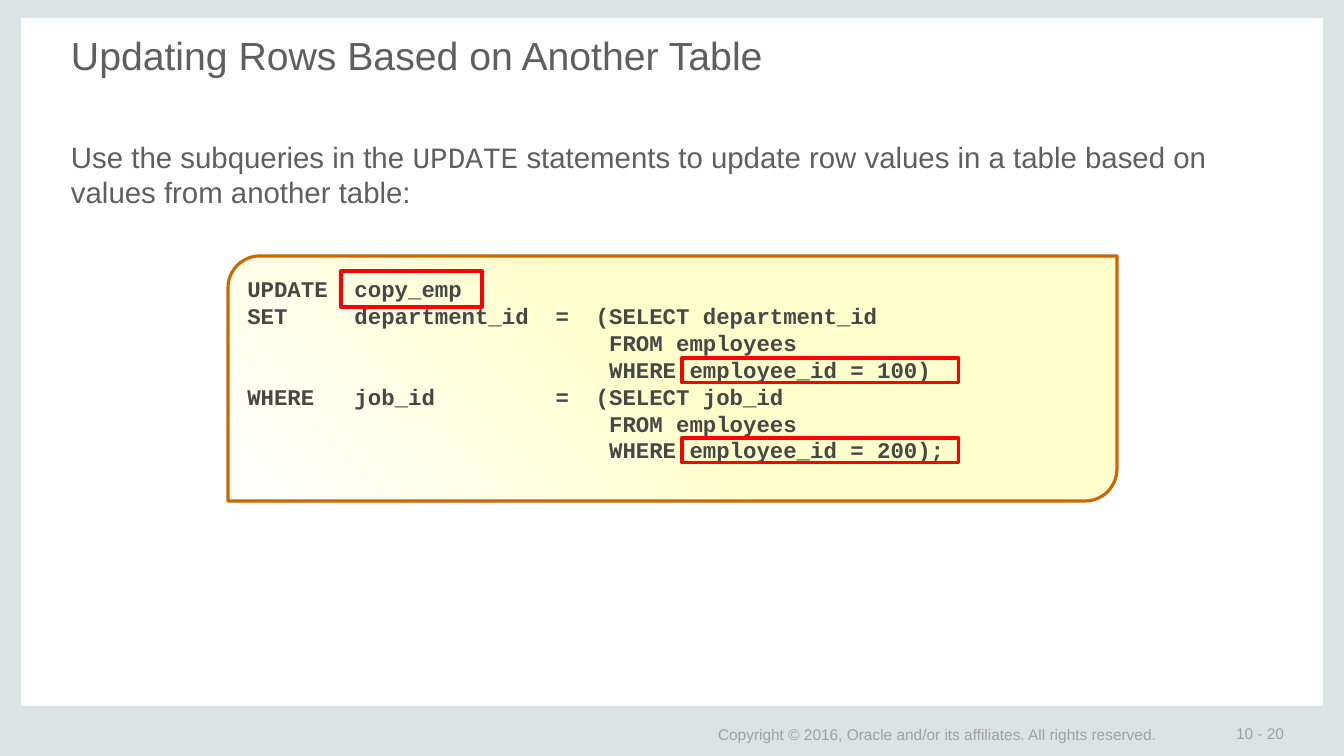
from copy import deepcopy
from dataclasses import dataclass

from pptx import Presentation
from pptx.dml.color import RGBColor
from pptx.enum.shapes import MSO_SHAPE
from pptx.enum.text import MSO_ANCHOR, PP_ALIGN
from pptx.util import Pt

RECT = MSO_SHAPE.RECTANGLE
CODE_PANEL = MSO_SHAPE.ROUND_2_DIAG_RECTANGLE
TOP, MIDDLE = MSO_ANCHOR.TOP, MSO_ANCHOR.MIDDLE
LEFT = PP_ALIGN.LEFT

# Content
TITLE = "Updating Rows Based on Another Table"
INTRO = [
    ("Use the subqueries in the ", False),
    ("UPDATE", True),
    (" statements to update row values in a table based on values from another table:", False),
]
CODE = [
    "UPDATE  copy_emp",
    "SET     department_id  =  (SELECT department_id",
    "                           FROM employees",
    "                           WHERE employee_id = 100)",
    "WHERE   job_id         =  (SELECT job_id",
    "                           FROM employees",
    "                           WHERE employee_id = 200);",
]
COPYRIGHT = "Copyright © 2016, Oracle and/or its affiliates. All rights reserved."
PAGE = "10 - 20"


@dataclass(frozen=True)
class Theme:
    sans: str = "Arial"
    mono: str = "Courier New"
    text: str = "5F5F5F"
    code: str = "474747"
    footer: str = "9F9F9F"
    frame: str = "DCE3E4"
    panel: str = "FFFFCC"
    panel_fade: str = "FFFFFF"
    panel_line: str = "CC6600"
    highlight: str = "FF0000"
    title_pt: int = 28
    intro_pt: int = 21
    code_pt: int = 16
    footer_pt: int = 11
    line_pt: float = 2.25


THEME = Theme()

# Layout in px
EMU_PER_PX = 914400 / 100.8
WIDTH, HEIGHT = 1344, 756
SIDE, HEAD, FOOT = 21, 18, 50
FRAME = [
    (WIDTH - SIDE, 0, SIDE, HEIGHT),
    (0, 0, SIDE, HEIGHT),
    (0, HEIGHT - FOOT, WIDTH, FOOT),
    (0, 0, WIDTH, HEAD),
]
TITLE_BOX = (69, 29, 1207, 97)
INTRO_BOX = (69, 137, 1207, 202)
PANEL_BOX = (228, 256, 889, 245)
FOOTERS = [(PAGE, (1223, 723, 119, 20)), (COPYRIGHT, (705, 723, 538, 22))]
TABLE_MARK = (341, 271, 141, 36)
SUBQUERY_HEIGHT = 80  # three lines of code
MARKS = [TABLE_MARK] + [(682, 358 + i * SUBQUERY_HEIGHT, 277, 25) for i in range(2)]


def px(value):
    return round(value * EMU_PER_PX)


def emu(box):
    return [px(value) for value in box]


def rgb(value):
    return RGBColor.from_string(value)


def set_frame(frame, margins, anchor=TOP):
    frame.word_wrap = True
    frame.vertical_anchor = anchor
    (frame.margin_left, frame.margin_top,
     frame.margin_right, frame.margin_bottom) = emu(margins)


def add_run(paragraph, text, size, color, font=THEME.sans, bold=False):
    paragraph.alignment = LEFT
    run = paragraph.add_run()
    run.text = text
    run.font.name = font
    run.font.size = Pt(size)
    run.font.bold = bold
    run.font.color.rgb = rgb(color)


def add_shape(kind, box, fill=None, line=None):
    shape = slide.shapes.add_shape(kind, *emu(box))
    shape.shadow.inherit = False
    if fill:
        shape.fill.solid()
        shape.fill.fore_color.rgb = rgb(fill)
    else:
        shape.fill.background()
    if line:
        shape.line.color.rgb = rgb(line)
        shape.line.width = Pt(THEME.line_pt)
    else:
        shape.line.fill.background()
    return shape


def fade(fill, stops, angle):
    fill.gradient()
    fill.gradient_angle = angle
    first = fill.gradient_stops[0]._gs
    first.addnext(deepcopy(first))
    for stop, (position, color) in zip(fill.gradient_stops, stops):
        stop.position = position
        stop.color.rgb = rgb(color)


prs = Presentation()
prs.slide_width, prs.slide_height = px(WIDTH), px(HEIGHT)
slide = prs.slides.add_slide(prs.slide_layouts[5])

# Frame and footer
for bar in FRAME:
    add_shape(RECT, bar, fill=THEME.frame)
for text, box in FOOTERS:
    footer = slide.shapes.add_textbox(*emu(box)).text_frame
    set_frame(footer, (13, 7, 13, 7), MIDDLE)
    add_run(footer.paragraphs[0], text, THEME.footer_pt, THEME.footer)

# Title
title = slide.shapes.title
title.left, title.top, title.width, title.height = emu(TITLE_BOX)
set_frame(title.text_frame, (2, 2, 2, 2))
add_run(title.text_frame.paragraphs[0], TITLE, THEME.title_pt, THEME.text)

# Introduction
intro = slide.shapes.add_textbox(*emu(INTRO_BOX)).text_frame
set_frame(intro, (2, 2, 2, 2))
for text, is_code in INTRO:
    add_run(intro.paragraphs[0], text, THEME.intro_pt, THEME.text,
            THEME.mono if is_code else THEME.sans)

# Code panel
panel = add_shape(CODE_PANEL, PANEL_BOX, line=THEME.panel_line)
panel.adjustments[0], panel.adjustments[1] = 0.13, 0
fade(panel.fill, [(0, THEME.panel), (0.5, THEME.panel), (1, THEME.panel_fade)], 225)
code = panel.text_frame
set_frame(code, (10, 10, 1, 0))
for i, line in enumerate(CODE):
    paragraph = code.add_paragraph() if i else code.paragraphs[0]
    add_run(paragraph, line, THEME.code_pt, THEME.code, THEME.mono, bold=True)

# Highlights
for mark in MARKS:
    add_shape(RECT, mark, line=THEME.highlight)

prs.save("out.pptx")
